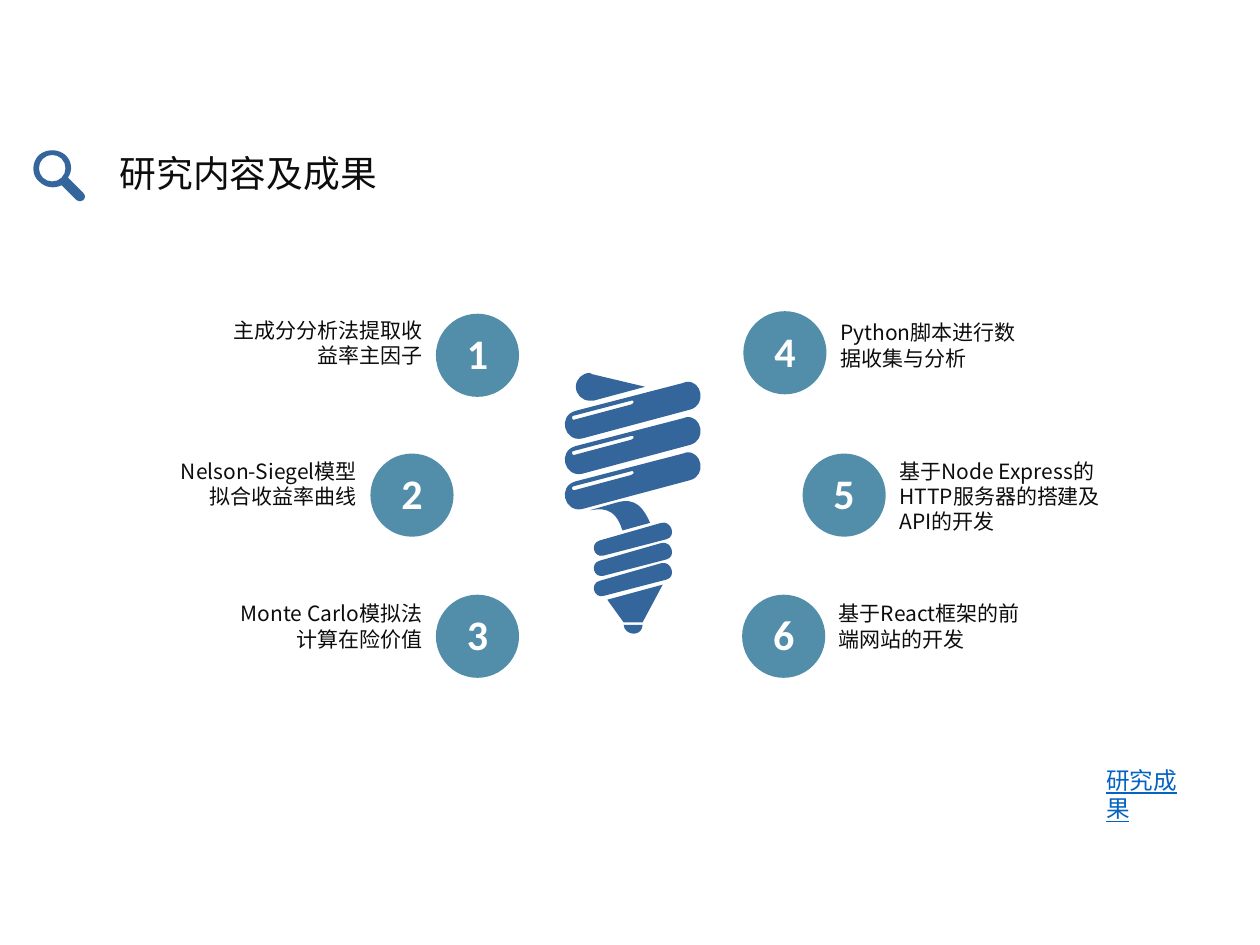
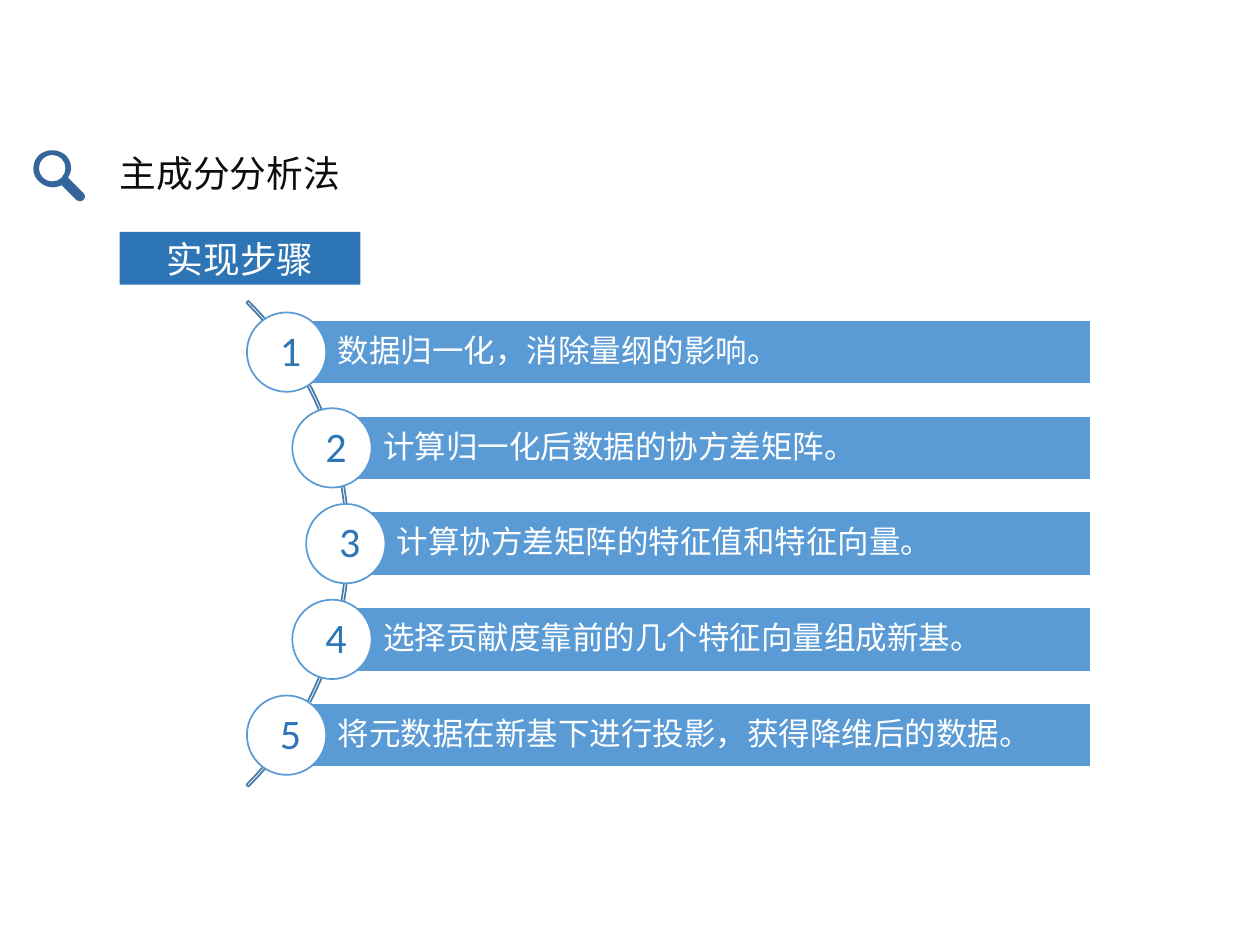
from dataclasses import dataclass

from lxml.etree import SubElement
from pptx import Presentation
from pptx.dml.color import RGBColor
from pptx.enum.shapes import MSO_SHAPE
from pptx.enum.text import MSO_ANCHOR, MSO_AUTO_SIZE, PP_ALIGN
from pptx.oxml.ns import qn
from pptx.util import Inches, Pt


@dataclass(frozen=True)
class Theme:
    """Colours, fonts and type sizes of the deck."""
    ink: str = "0D0D0D"
    white: str = "FFFFFF"
    icon: str = "35669B"
    disc: str = "528EA9"
    link: str = "0563C1"
    tag: str = "2E75B6"
    bar: str = "5B9BD5"
    arc: str = "497CAB"
    latin: str = "Calibri"
    han: str = "Noto Sans CJK SC"
    head: float = 21
    digit: float = 24
    step: float = 18
    label: float = 12
    note: float = 13.5


THEME = Theme()
PAD = (0.1, 0.05, 0.1, 0.05)

LENS = [
    [(0.66, 1.53), (0.54, 1.41), (0.58, 1.35, 0.57, 1.28, 0.52, 1.23),
     (0.46, 1.18, 0.37, 1.18, 0.31, 1.23), (0.25, 1.29, 0.25, 1.39, 0.31, 1.44),
     (0.36, 1.49, 0.43, 1.5, 0.49, 1.47), (0.61, 1.59),
     (0.62, 1.6, 0.65, 1.6, 0.66, 1.59), (0.68, 1.57, 0.68, 1.55, 0.66, 1.53)],
    [(0.49, 1.41), (0.45, 1.45, 0.38, 1.45, 0.34, 1.41),
     (0.3, 1.37, 0.3, 1.3, 0.34, 1.26), (0.38, 1.22, 0.45, 1.22, 0.49, 1.26),
     (0.53, 1.3, 0.53, 1.37, 0.49, 1.41)],
]
CAP = [[(4.68, 2.96), (4.7, 2.97), (5.12, 3.07), (4.71, 3.18), (4.68, 3.18),
        (4.62, 3.18, 4.57, 3.13, 4.57, 3.07), (4.57, 3.01, 4.62, 2.96, 4.68, 2.96)]]
COIL = [
    [(5.01, 3.18), (4.55, 3.3), (4.53, 3.3, 4.54, 3.34, 4.56, 3.33),
     (5.01, 3.21), (5.04, 3.2, 5.03, 3.17, 5.01, 3.18)],
    [(5.45, 3.03), (5.57, 3.02, 5.61, 3.21, 5.48, 3.25), (4.62, 3.48),
     (4.48, 3.51, 4.42, 3.3, 4.57, 3.26), (5.42, 3.04),
     (5.43, 3.03, 5.44, 3.03, 5.45, 3.03)],
]
NECK = [[(4.89, 3.99), (5.05, 3.94, 5.11, 4.04, 5.16, 4.15), (4.94, 4.21),
         (4.88, 4.01, 4.76, 4.04, 4.68, 4.05), (4.89, 3.99)]]
RIB = [[(4.76, 4.29), (4.68, 4.31, 4.71, 4.43, 4.79, 4.41), (5.29, 4.28),
        (5.37, 4.26, 5.33, 4.13, 5.25, 4.15), (4.76, 4.29)]]
CONE = [[(5.26, 4.64), (5.1, 4.94), (4.95, 4.94), (4.82, 4.76), (5.26, 4.64)]]
TIP = [[(5.1, 4.96), (5.1, 5, 5.07, 5.03, 5.03, 5.03),
        (4.99, 5.03, 4.95, 5, 4.95, 4.96), (5.1, 4.96)]]

TOPICS = [
    ("1", 3.46, 2.49, 2.47, 1.76, "主成分分析法提取收益率主因子"),
    ("2", 2.94, 3.6, 3.59, 1.75, "Nelson-Siegel模型拟合收益率曲线"),
    ("3", 3.46, 4.72, 4.72, 1.77, "Monte Carlo模拟法计算在险价值"),
    ("4", 5.9, 2.47, 2.49, 1.62, "Python脚本进行数据收集与分析"),
    ("5", 6.37, 3.6, 3.59, 1.9, "基于Node Express的HTTP服务器的搭建及API的开发"),
    ("6", 5.89, 4.72, 4.72, 1.76, "基于React框架的前端网站的开发"),
]
STEPS = [
    (2.28, "数据归一化，消除量纲的影响。"),
    (2.64, "计算归一化后数据的协方差矩阵。"),
    (2.75, "计算协方差矩阵的特征值和特征向量。"),
    (2.64, "选择贡献度靠前的几个特征向量组成新基。"),
    (2.28, "将元数据在新基下进行投影，获得降维后的数据。"),
]


def tint(code):
    """Turn a hex code into a colour."""
    return RGBColor.from_string(code)


def write(shape, text, size, color, font=THEME.han, align=PP_ALIGN.LEFT,
          anchor=MSO_ANCHOR.TOP, pad=PAD, lead=1.0, bold=False, under=False):
    """Fill a shape with one styled run."""
    frame = shape.text_frame
    frame.word_wrap = True
    frame.auto_size = MSO_AUTO_SIZE.NONE
    frame.vertical_anchor = anchor
    (frame.margin_left, frame.margin_top,
     frame.margin_right, frame.margin_bottom) = map(Inches, pad)
    para = frame.paragraphs[0]
    para.alignment = align
    para.line_spacing = lead
    run = para.add_run()
    run.text = text
    face = run.font
    face.size, face.name = Pt(size), font
    face.bold, face.underline = bold, under
    face.color.rgb = tint(color)
    east = SubElement(run._r.get_or_add_rPr(), qn("a:ea"))
    east.set("typeface", THEME.han)


def place(shape, box):
    """Move and size a shape in inches."""
    shape.left, shape.top, shape.width, shape.height = map(Inches, box)


def paint(shape, fill=None, line=None):
    """Set fill and outline and drop the shadow."""
    shape.shadow.inherit = False
    if fill:
        shape.fill.solid()
        shape.fill.fore_color.rgb = tint(fill)
    else:
        shape.fill.background()
    if line:
        shape.line.color.rgb = tint(line)
        shape.line.width = Pt(1)
    else:
        shape.line.fill.background()


def add_form(slide, kind, box, fill=None, line=None):
    """Add a painted preset shape."""
    shape = slide.shapes.add_shape(kind, *map(Inches, box))
    paint(shape, fill, line)
    return shape


def add_note(slide, box, text, size, color, **style):
    """Add a text box."""
    write(slide.shapes.add_textbox(*map(Inches, box)), text, size, color, **style)


def pairs(move, drop):
    """Split a move into points in thousandths, moved down by drop."""
    return [(x * 1000, (y + drop) * 1000) for x, y in zip(move[::2], move[1::2])]


def bend(shape, moves):
    """Join each three segments of a curved move into one cubic curve."""
    lines = shape._element.iter(qn("a:lnTo"))
    lines = iter(list(lines))
    for move in moves:
        first = next(lines)
        if len(move) == 6:
            first.tag = qn("a:cubicBezTo")
            for extra in (next(lines), next(lines)):
                first.append(extra[0])
                extra.getparent().remove(extra)


def add_glyph(slide, loops, drop=0):
    """Draw closed loops as one icon part."""
    pen = None
    for loop in loops:
        start = pairs(loop[0], drop)[0]
        if pen:
            pen.move_to(*start)
        else:
            pen = slide.shapes.build_freeform(*start, scale=Inches(1) / 1000)
        dots = [dot for move in loop[1:] for dot in pairs(move, drop)]
        pen.add_line_segments(dots, close=True)
    shape = pen.convert_to_shape()
    moves = []
    for loop in loops:
        moves += loop[1:]
        if loop[-1][-2:] != loop[0]:
            moves.append(loop[0])
    bend(shape, moves)
    paint(shape, THEME.icon)


def add_page(deck, title):
    """Add a slide with its title and lens icon."""
    slide = deck.slides.add_slide(deck.slide_layouts[5])
    place(slide.shapes.title, (0.95, 1.2, 2.66, 0.35))
    write(slide.shapes.title, title, THEME.head, THEME.ink,
          align=PP_ALIGN.JUSTIFY, pad=(0, 0, 0, 0))
    add_glyph(slide, LENS)
    return slide


def add_bulb(slide):
    """Draw the spiral bulb."""
    for part in (CAP, NECK, CONE, TIP):
        add_glyph(slide, part)
    for i in range(3):
        add_glyph(slide, COIL, i * 0.28)
        add_glyph(slide, RIB, i * 0.16)


def add_topic(slide, num, x, y, top, width, text):
    """Add a numbered disc with its label on the outer side."""
    size = 0.66
    disc = add_form(slide, MSO_SHAPE.OVAL, (x, y, size, size), THEME.disc)
    write(disc, num, THEME.digit, THEME.white, font=THEME.latin, bold=True,
          align=PP_ALIGN.CENTER, anchor=MSO_ANCHOR.MIDDLE, pad=(0, 0, 0, 0.04))
    on_left = x < 5
    left = x - 0.01 - width if on_left else x + size + 0.01
    add_note(slide, (left, top, width, 0.5), text, THEME.label, THEME.ink,
             align=PP_ALIGN.RIGHT if on_left else PP_ALIGN.LEFT)


def add_step(slide, num, left, text):
    """Add a step bar with its numbered ring."""
    top = 2.54 + (num - 1) * 0.76
    bar = add_form(slide, MSO_SHAPE.RECTANGLE, (left, top, 8.66 - left, 0.51),
                   THEME.bar, THEME.white)
    write(bar, text, THEME.step, THEME.white, anchor=MSO_ANCHOR.MIDDLE,
          pad=(0.4, 0.05, 0.05, 0.05), lead=0.9)
    ring = add_form(slide, MSO_SHAPE.OVAL, (left - 0.32, top - 0.06, 0.63, 0.63),
                    THEME.white, THEME.bar)
    write(ring, str(num), THEME.digit, THEME.tag, font=THEME.latin,
          anchor=MSO_ANCHOR.MIDDLE, pad=(0.17, 0, 0, 0.04))


def add_arc(slide):
    """Draw the thin arc behind the steps."""
    arc = add_form(slide, MSO_SHAPE.BLOCK_ARC, (-2.68, 1.59, 5.45, 5.45), line=THEME.arc)
    for i, value in enumerate((189, 27, 0.004)):
        arc.adjustments[i] = value


def main():
    """Build and save the deck."""
    deck = Presentation()
    deck.slide_width, deck.slide_height = Inches(10), Inches(7.5)

    page = add_page(deck, "研究内容及成果")
    add_bulb(page)
    for topic in TOPICS:
        add_topic(page, *topic)
    add_note(page, (8.68, 6.03, 0.93, 0.56), "研究成果", THEME.note, THEME.link,
             font=THEME.latin, under=True)

    page = add_page(deck, "主成分分析法")
    tag = add_form(page, MSO_SHAPE.RECTANGLE, (0.95, 1.84, 1.91, 0.42), THEME.tag)
    write(tag, "实现步骤", THEME.head, THEME.white, font=THEME.latin,
          align=PP_ALIGN.CENTER, anchor=MSO_ANCHOR.MIDDLE)
    add_arc(page)
    for num, (left, text) in enumerate(STEPS, 1):
        add_step(page, num, left, text)

    deck.save("out.pptx")


if __name__ == "__main__":
    main()
